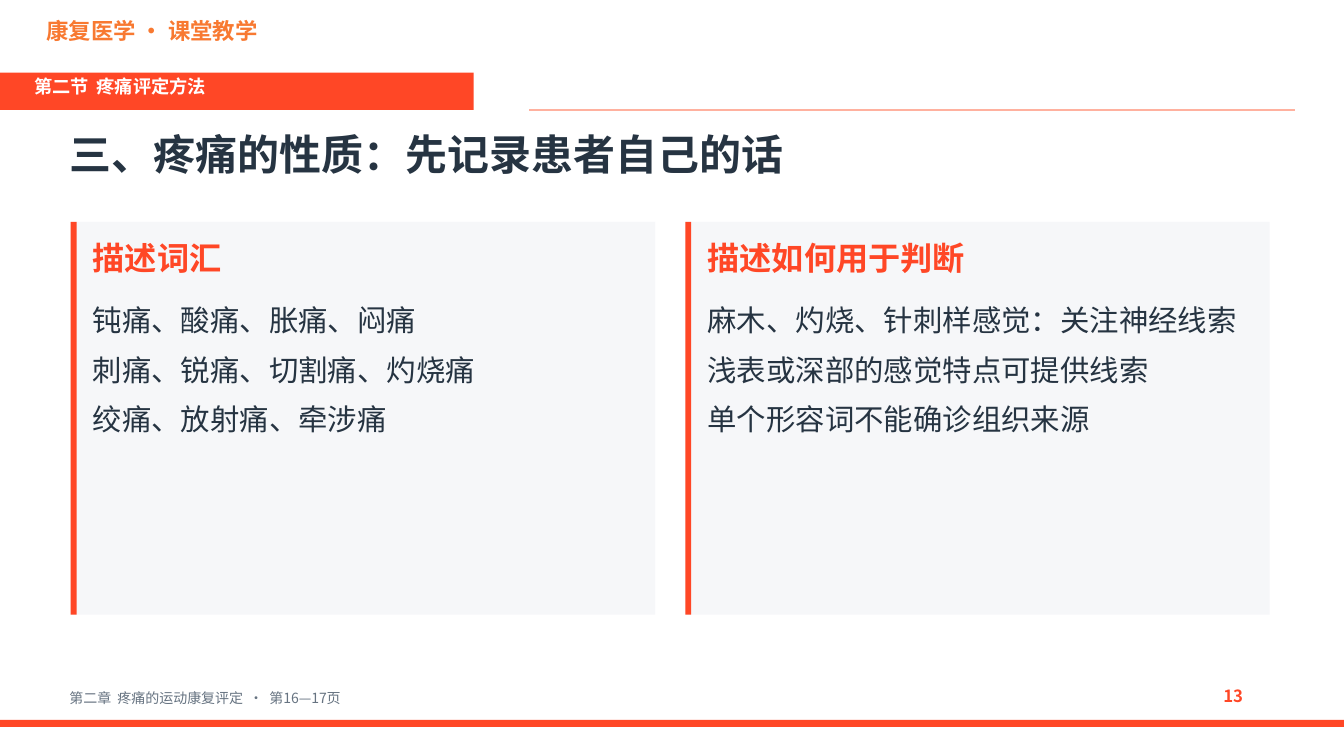
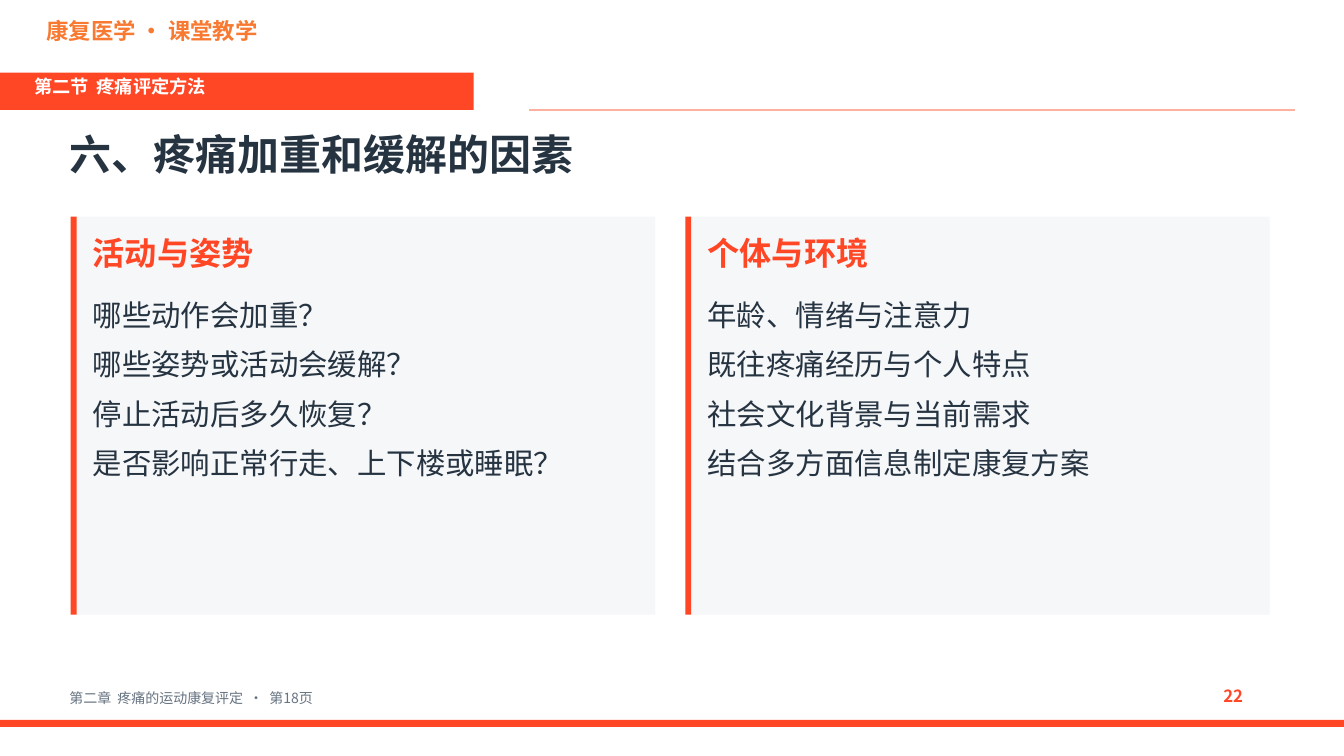
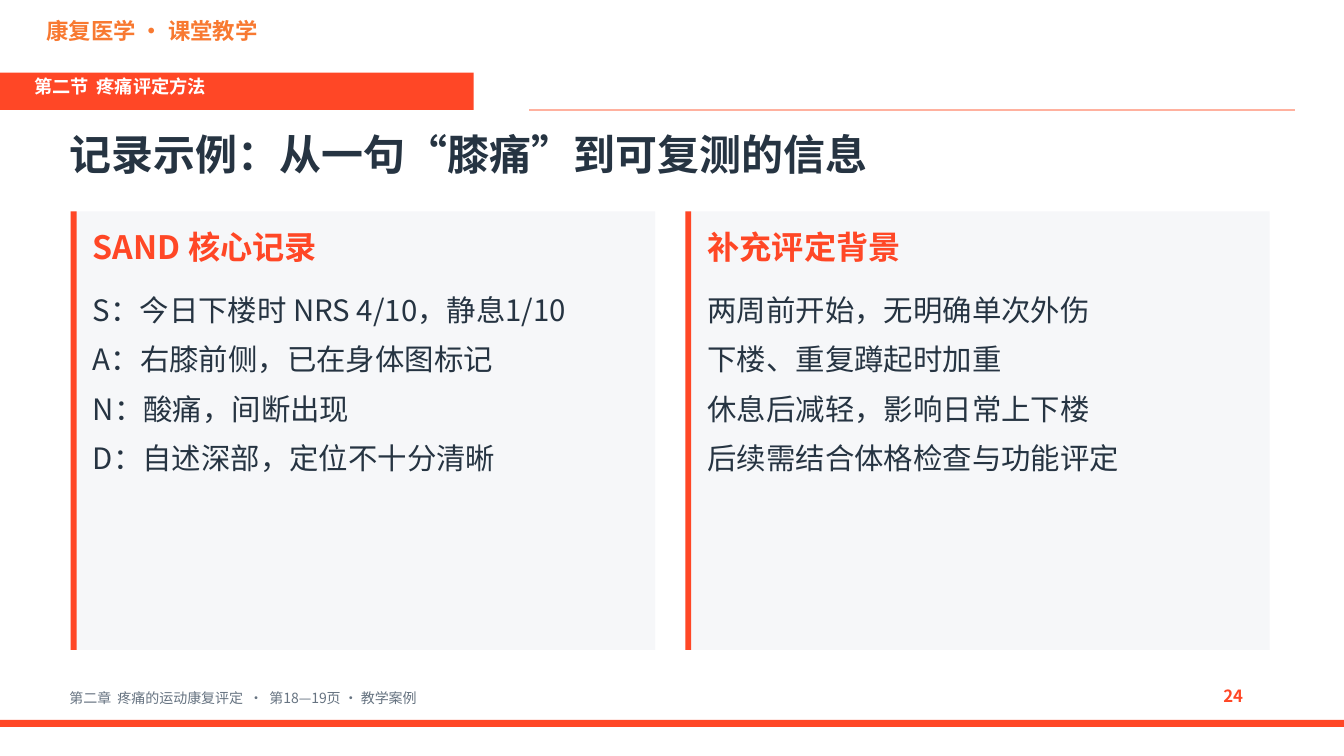
from lxml.etree import SubElement
from pptx import Presentation
from pptx.dml.color import RGBColor
from pptx.enum.shapes import MSO_CONNECTOR, MSO_SHAPE
from pptx.enum.text import MSO_AUTO_SIZE
from pptx.oxml.ns import qn
from pptx.util import Cm, Pt

FONT = "Noto Sans CJK SC"
COLORS = {
    "accent": "FF4726",
    "brand": "F87931",
    "rule": "FFB19F",
    "ink": "263442",
    "muted": "667381",
    "card": "F6F7F9",
    "white": "FFFFFF",
}
PAGE_WIDTH, PAGE_HEIGHT = 33.87, 19.05
CARD_LEFT, CARD_WIDTH, CARD_GAP = 1.78, 14.73, 0.76
CARD_INSET = 0.46

PAGES = [
    {
        "title": "三、疼痛的性质：先记录患者自己的话",
        "source": "第16—17页",
        "number": 13,
        "top": 5.59,
        "bottom": 15.49,
        "cards": [
            ("描述词汇", [
                "钝痛、酸痛、胀痛、闷痛",
                "刺痛、锐痛、切割痛、灼烧痛",
                "绞痛、放射痛、牵涉痛",
            ]),
            ("描述如何用于判断", [
                "麻木、灼烧、针刺样感觉：关注神经线索",
                "浅表或深部的感觉特点可提供线索",
                "单个形容词不能确诊组织来源",
            ]),
        ],
    },
    {
        "title": "六、疼痛加重和缓解的因素",
        "source": "第18页",
        "number": 22,
        "top": 5.46,
        "bottom": 15.49,
        "cards": [
            ("活动与姿势", [
                "哪些动作会加重？",
                "哪些姿势或活动会缓解？",
                "停止活动后多久恢复？",
                "是否影响正常行走、上下楼或睡眠？",
            ]),
            ("个体与环境", [
                "年龄、情绪与注意力",
                "既往疼痛经历与个人特点",
                "社会文化背景与当前需求",
                "结合多方面信息制定康复方案",
            ]),
        ],
    },
    {
        "title": "记录示例：从一句“膝痛”到可复测的信息",
        "source": "第18—19页 · 教学案例",
        "number": 24,
        "top": 5.33,
        "bottom": 16.38,
        "cards": [
            ("SAND 核心记录", [
                "S：今日下楼时 NRS 4/10，静息1/10",
                "A：右膝前侧，已在身体图标记",
                "N：酸痛，间断出现",
                "D：自述深部，定位不十分清晰",
            ]),
            ("补充评定背景", [
                "两周前开始，无明确单次外伤",
                "下楼、重复蹲起时加重",
                "休息后减轻，影响日常上下楼",
                "后续需结合体格检查与功能评定",
            ]),
        ],
    },
]


def rgb(name):
    """Return the named colour."""
    return RGBColor.from_string(COLORS[name])


def add_block(page, left, top, width, height, color):
    """Draw a plain filled rectangle."""
    block = page.shapes.add_shape(
        MSO_SHAPE.RECTANGLE, Cm(left), Cm(top), Cm(width), Cm(height))
    block.shadow.inherit = False
    block.fill.solid()
    block.fill.fore_color.rgb = rgb(color)
    block.line.fill.background()


def add_text(page, left, top, width, height, lines, size, color, bold=False):
    """Place a text box with one paragraph per line."""
    box = page.shapes.add_textbox(Cm(left), Cm(top), Cm(width), Cm(height))
    frame = box.text_frame
    frame.word_wrap = True
    frame.auto_size = MSO_AUTO_SIZE.SHAPE_TO_FIT_TEXT
    frame.margin_left = frame.margin_right = Cm(0.1)
    frame.margin_top, frame.margin_bottom = Cm(0.05), Cm(0)
    frame.text = "\n".join(lines)
    for para in frame.paragraphs:
        para.space_after = Pt(10)
        for span in para.runs:
            span.font.size = Pt(size)
            span.font.bold = bold
            span.font.color.rgb = rgb(color)
            span.font.name = FONT
            SubElement(span.font._element, qn("a:ea"), typeface=FONT)


def add_rule(page, left, right, y):
    """Draw the thin horizontal line beside the section band."""
    rule = page.shapes.add_connector(
        MSO_CONNECTOR.STRAIGHT, Cm(left), Cm(y), Cm(right), Cm(y))
    rule.line.color.rgb = rgb("rule")
    rule.line.width = Pt(1)
    SubElement(rule._element.spPr, qn("a:effectLst"))


def add_header(page, title):
    """Place the course name, section band, rule and title."""
    add_text(page, 1.07, 0.38, 8.89, 1.02, ["康复医学 · 课堂教学"], 16, "brand", True)
    add_block(page, 0, 1.83, 11.94, 0.94, "accent")
    add_text(page, 0.76, 1.85, 10.67, 0.81, ["第二节  疼痛评定方法"], 13, "white", True)
    add_rule(page, 13.34, 32.64, 2.77)
    add_text(page, 1.65, 3.18, 30.48, 1.65, [title], 30, "ink", True)


def add_footer(page, source, number):
    """Place the bottom band, source line and page number."""
    add_block(page, 0, 18.14, PAGE_WIDTH, 0.18, "accent")
    add_text(page, 1.65, 17.32, 27.94, 0.58,
             [f"第二章  疼痛的运动康复评定  ·  {source}"], 10, "muted")
    add_text(page, 30.73, 17.22, 1.52, 0.76, [str(number)], 12, "accent", True)


def add_card(page, left, top, width, height, heading, items):
    """Place a card with its accent edge, heading and lines."""
    add_block(page, left, top, width, height, "card")
    add_block(page, left, top, 0.15, height, "accent")
    text_left, text_width = left + CARD_INSET, width - 2 * CARD_INSET
    add_text(page, text_left, top + 0.36, text_width, 1.14, [heading], 23, "accent", True)
    add_text(page, text_left, top + 1.98, text_width, height - 2.21, items, 21, "ink")


def add_card_page(deck, content):
    """Build one page with a row of cards."""
    page = deck.slides.add_slide(deck.slide_layouts[6])
    page.background.fill.solid()
    page.background.fill.fore_color.rgb = rgb("white")
    add_header(page, content["title"])
    add_footer(page, content["source"], content["number"])
    top, height = content["top"], content["bottom"] - content["top"]
    for column, (heading, items) in enumerate(content["cards"]):
        left = CARD_LEFT + column * (CARD_WIDTH + CARD_GAP)
        add_card(page, left, top, CARD_WIDTH, height, heading, items)


def main():
    """Build and save the deck."""
    deck = Presentation()
    deck.slide_width, deck.slide_height = Cm(PAGE_WIDTH), Cm(PAGE_HEIGHT)
    for content in PAGES:
        add_card_page(deck, content)
    deck.save("out.pptx")


if __name__ == "__main__":
    main()
